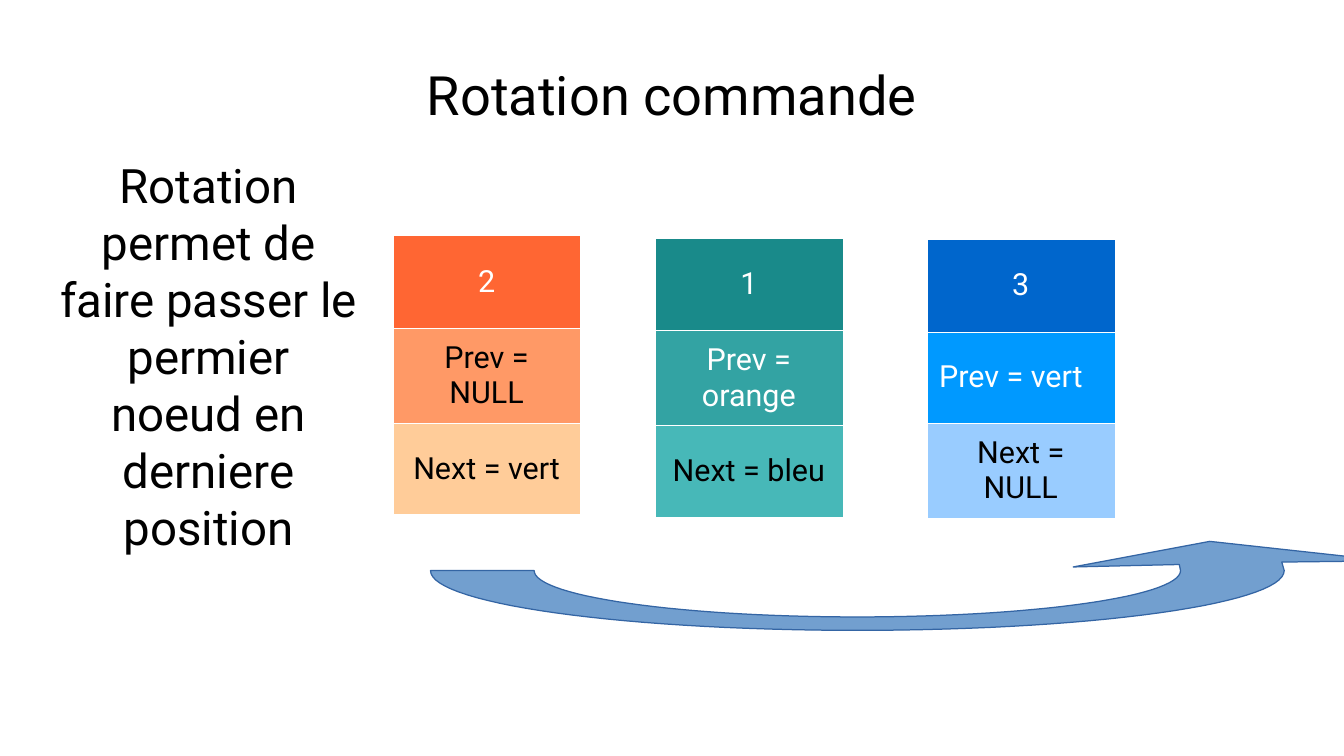
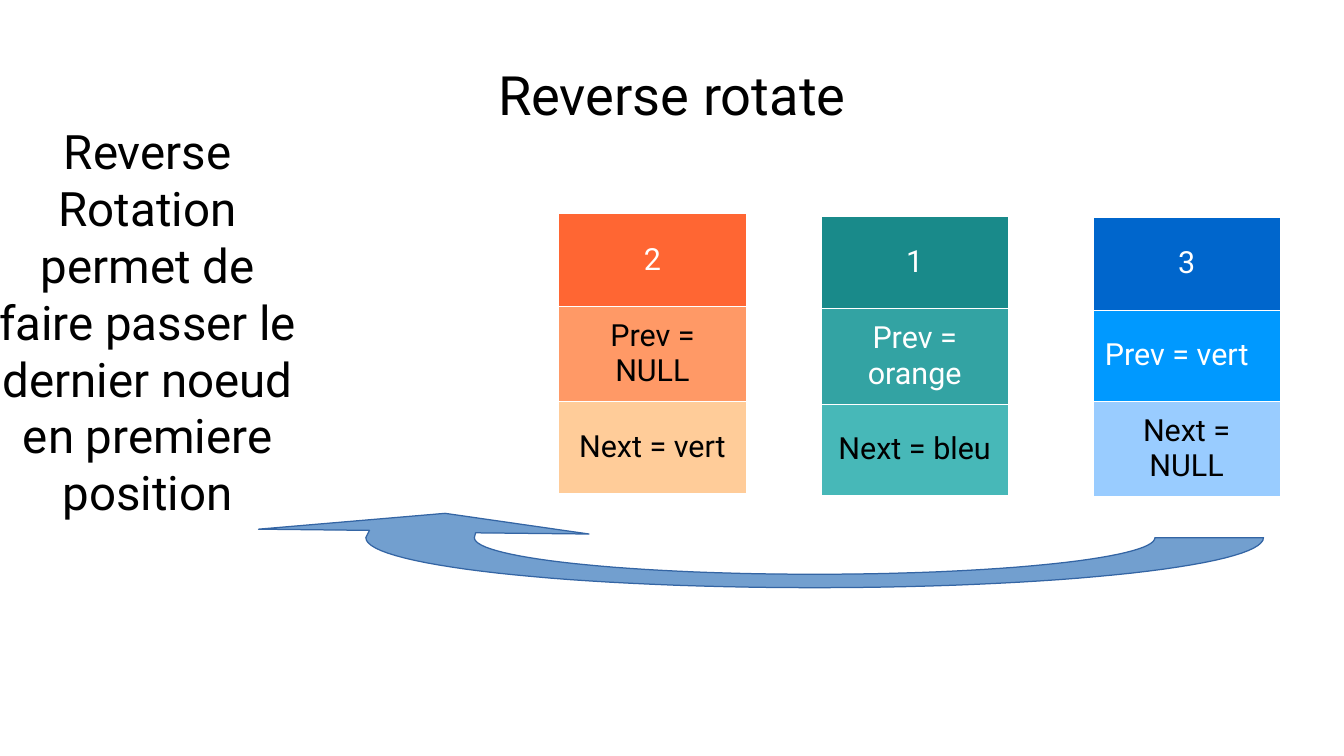
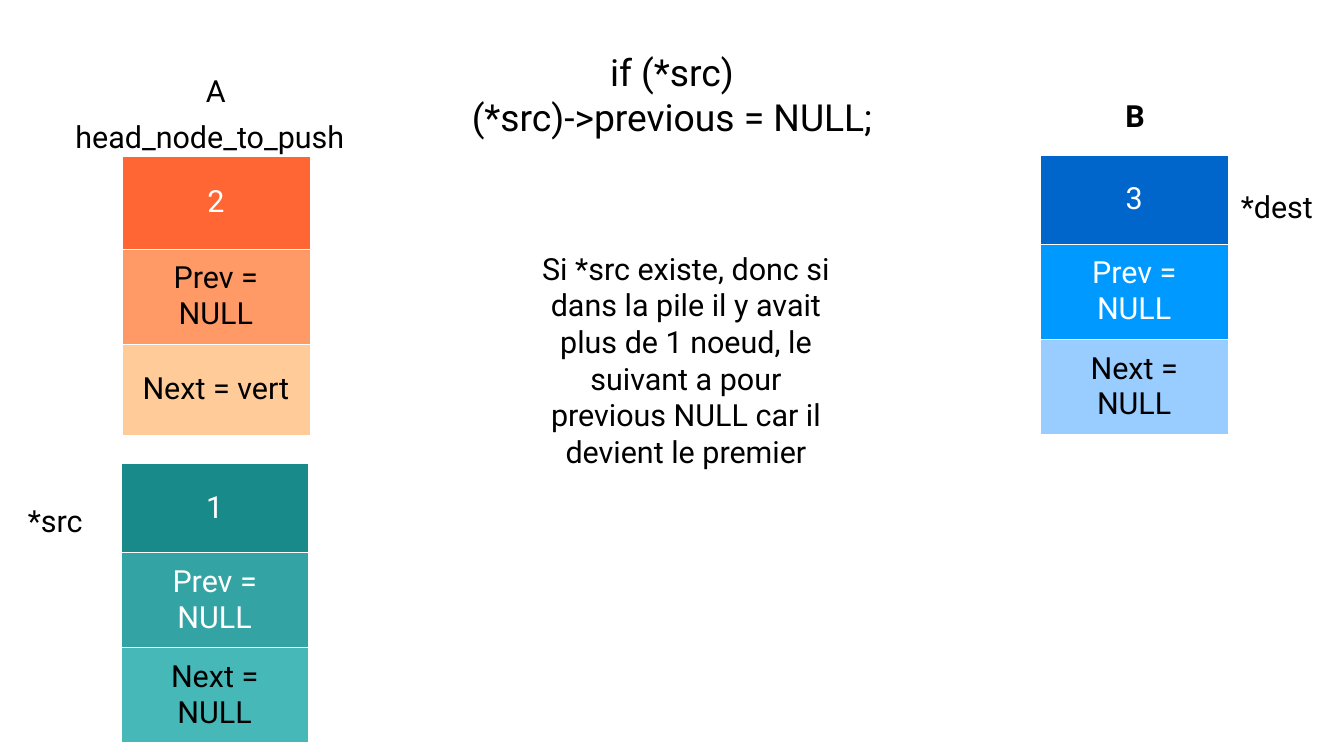
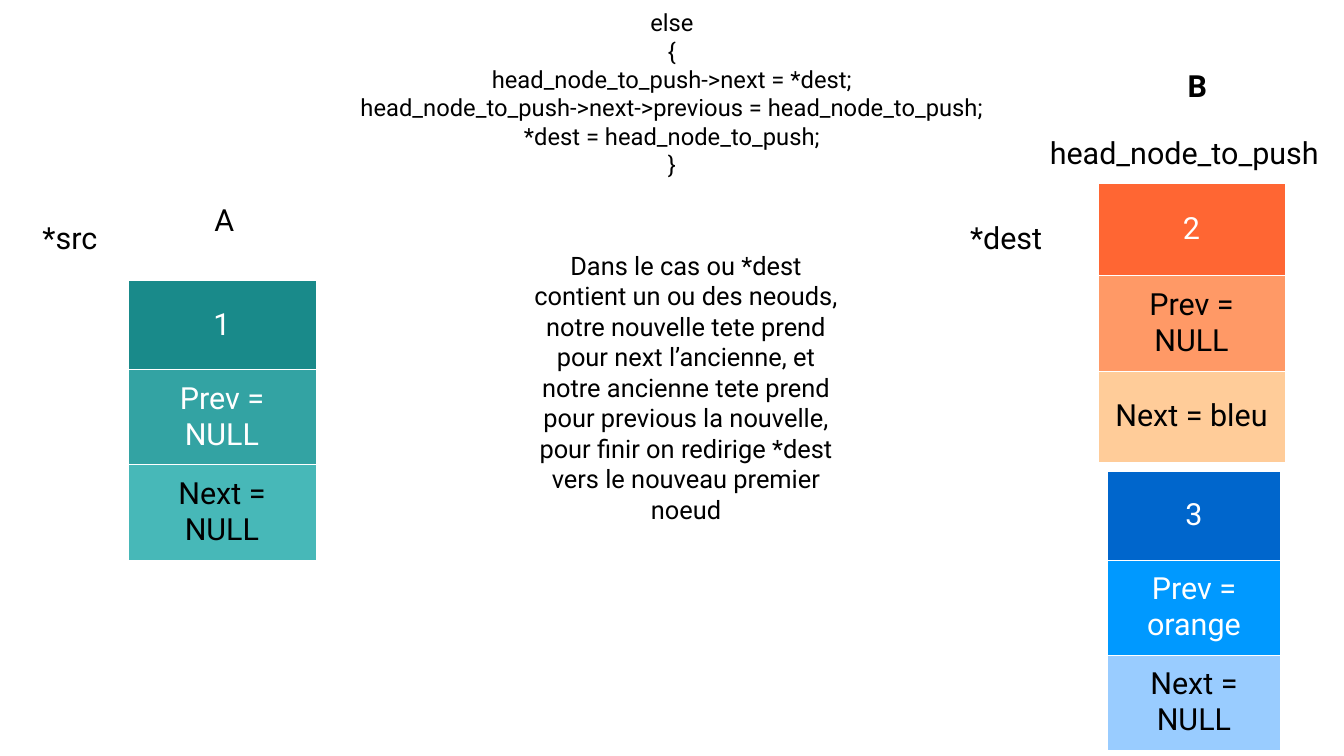
from math import cos, pi, sin

from lxml import etree
from pptx import Presentation
from pptx.dml.color import RGBColor
from pptx.enum.text import MSO_ANCHOR, MSO_AUTO_SIZE, PP_ALIGN
from pptx.oxml.ns import qn
from pptx.util import Inches, Pt

LEFT, CENTER = PP_ALIGN.LEFT, PP_ALIGN.CENTER
MIDDLE = MSO_ANCHOR.MIDDLE
FIXED_SIZE = MSO_AUTO_SIZE.NONE

FONT = "Roboto"
COLORS = {"black": "000000", "white": "FFFFFF", "arrow": "729FCF", "arrow_edge": "3465A4"}

# Fill and text colour of the value, Prev and Next cells
NODE_COLORS = {
    "orange": [("FF6633", "white"), ("FF9966", "black"), ("FFCC99", "black")],
    "green": [("198A8A", "white"), ("33A3A3", "white"), ("47B8B8", "black")],
    "blue": [("0066CC", "white"), ("0099FF", "white"), ("99CCFF", "black")],
}
NODE_VALUES = {"orange": "2", "green": "1", "blue": "3"}
NODE_WIDTH = 1.54
TITLE_BOX = (0.55, 0.25, 9.92, 1.04)


def write(frame, text, size=18, color="black", align=LEFT, bold=False, inset=None):
    frame.text = text
    frame.word_wrap = True
    if inset is not None:
        frame.margin_left = frame.margin_right = Inches(inset)
        frame.margin_top = frame.margin_bottom = Inches(inset)
    for paragraph in frame.paragraphs:
        paragraph.alignment = align
        font = paragraph.font
        for run in paragraph.runs:
            font = run.font
            font.name, font.size, font.bold = FONT, Pt(size), bold
            font.color.rgb = RGBColor.from_string(COLORS[color])


def add_node(slide, name, left, top, prev_node, next_node, width=NODE_WIDTH):
    """Draw a list node as a table: its value, then its two links."""
    texts = [NODE_VALUES[name], f"Prev = {prev_node}", f"Next = {next_node}"]
    # A link that wraps to two lines needs a taller row
    heights = [0.73 if prev_node == next_node or width < NODE_WIDTH else 0.76]
    heights += [0.75 if link in ("vert", "bleu") else 0.78 for link in (prev_node, next_node)]
    table = slide.shapes.add_table(3, 1, Inches(left), Inches(top), Inches(width),
                                   Inches(sum(heights))).table
    table.first_row = table.horz_banding = False
    for row, (text, height, (fill, color)) in enumerate(zip(texts, heights, NODE_COLORS[name])):
        table.rows[row].height = Inches(height)
        cell = table.cell(row, 0)
        cell.vertical_anchor = MIDDLE
        write(cell.text_frame, text, color=color,
              align=LEFT if text == "Prev = vert" else CENTER)
        properties = cell._tc.get_or_add_tcPr()
        for side in ("a:lnL", "a:lnR", "a:lnT", "a:lnB"):
            border = etree.SubElement(properties, qn(side), w=str(Pt(0.06)))
            solid = etree.SubElement(border, qn("a:solidFill"))
            etree.SubElement(solid, qn("a:srgbClr"), val=COLORS["white"])
        cell.fill.solid()
        cell.fill.fore_color.rgb = RGBColor.from_string(fill)


# Nodes: name, left, top, Prev, Next. Labels: text, box, format.
# Arrows: direction, centre, outer and inner radii, head from outer to inner edge.
slides = [
    {
        "title": "Rotation commande", "title_size": 32, "title_box": TITLE_BOX,
        "nodes": [("blue", 7.6, 1.96, "vert", "NULL"),
                  ("green", 5.37, 1.95, "orange", "bleu"),
                  ("orange", 3.22, 1.93, "NULL", "vert")],
        "labels": [("Rotation permet de faire passer le permier noeud en derniere position",
                    (0.47, 1.28, 2.48, 4.3), {"size": 28, "align": CENTER, "inset": 0})],
        "arrow": (1, (7.03, 4.68), (3.5, 0.49), (2.65, 0.38),
                  [(10.51, 4.61), (11.38, 4.6), (9.92, 4.44), (8.8, 4.65), (9.67, 4.63)]),
    },
    {
        "title": "Reverse rotate", "title_size": 32, "title_box": TITLE_BOX,
        "nodes": [("blue", 8.96, 1.78, "vert", "NULL"),
                  ("green", 6.73, 1.77, "orange", "bleu"),
                  ("orange", 4.58, 1.75, "NULL", "vert")],
        "labels": [("Reverse Rotation permet de faire passer le dernier noeud en premiere position",
                    (-0.03, 1, 2.48, 4.3), {"size": 28, "align": CENTER, "inset": 0})],
        "arrow": (-1, (6.68, 4.41), (3.68, 0.41), (2.79, 0.3),
                  [(3.03, 4.35), (2.12, 4.34), (3.65, 4.21), (4.83, 4.38), (3.9, 4.37)]),
    },
    {
        "title": "if (*src)\n(*src)->previous = NULL;", "title_size": 22, "title_box": TITLE_BOX,
        "nodes": [("orange", 1, 1.28, "NULL", "vert"),
                  ("blue", 8.53, 1.27, "NULL", "NULL"),
                  ("green", 0.99, 3.8, "NULL", "NULL")],
        "labels": [("A", (1.59, 0.54, 0.4, 0.44), {}),
                   ("head_node_to_push", (0.52, 0.92, 2.5, 0.44), {}),
                   ("*src", (0.13, 4.07, 0.75, 0.44), {}),
                   ("Si *src existe, donc si dans la pile il y avait plus de 1 noeud, "
                    "le suivant a pour previous NULL car il devient le premier",
                    (4.25, 2, 2.75, 2.14), {"align": CENTER}),
                   ("B", (9.13, 0.75, 0.4, 0.44), {"bold": True}),
                   ("*dest", (9.97, 1.49, 1, 0.44), {"align": CENTER})],
    },
    {
        "title": "else\n{\nhead_node_to_push->next = *dest;\n"
                 "head_node_to_push->next->previous = head_node_to_push;\n"
                 "*dest = head_node_to_push;\n}",
        "title_size": 14, "title_box": (0.55, -0.03, 9.92, 1.59),
        "nodes": [("orange", 9, 1.5, "NULL", "bleu"),
                  ("blue", 9.08, 3.86, "orange", "NULL", 1.42),
                  ("green", 1.05, 2.3, "NULL", "NULL")],
        "labels": [("A", (1.66, 1.6, 0.4, 0.44), {}),
                   ("*src", (0.25, 1.75, 0.75, 0.44), {}),
                   ("Dans le cas ou *dest contient un ou des neouds, notre nouvelle tete prend "
                    "pour next l’ancienne, et notre ancienne tete prend pour previous la "
                    "nouvelle, pour finir on redirige *dest vers le nouveau premier noeud",
                    (4.25, 2, 2.75, 2.95), {"size": 15, "align": CENTER}),
                   ("B", (9.64, 0.5, 0.4, 0.44), {"bold": True}),
                   ("head_node_to_push", (8.51, 1.05, 2.5, 0.44), {}),
                   ("*dest", (7.75, 1.75, 1, 0.44), {"align": CENTER})],
    },
]

prs = Presentation()
prs.slide_width, prs.slide_height = Inches(11.02), Inches(6.2)

for content in slides:
    slide = prs.slides.add_slide(prs.slide_layouts[5])
    title = slide.shapes.title
    title.left, title.top, title.width, title.height = map(Inches, content["title_box"])
    write(title.text_frame, content["title"], size=content["title_size"], align=CENTER, inset=0)
    title.text_frame.vertical_anchor = MIDDLE
    title.text_frame.auto_size = FIXED_SIZE

    for node in content["nodes"]:
        add_node(slide, *node)

    for text, box, text_format in content["labels"]:
        label = slide.shapes.add_textbox(*map(Inches, box))
        write(label.text_frame, text, **text_format)

    if "arrow" in content:
        direction, (center_x, center_y), outer, inner, head = content["arrow"]
        outer_arc, inner_arc = [
            [(center_x - direction * radius_x * cos(pi * step / 60),
              center_y + radius_y * sin(pi * step / 60)) for step in range(61)]
            for radius_x, radius_y in (outer, inner)
        ]
        outline = [(Inches(x), Inches(y)) for x, y in outer_arc + head + inner_arc[::-1]]
        builder = slide.shapes.build_freeform(*outline[0])
        builder.add_line_segments(outline[1:], close=True)
        arrow = builder.convert_to_shape()
        arrow.shadow.inherit = False
        arrow.fill.solid()
        arrow.fill.fore_color.rgb = RGBColor.from_string(COLORS["arrow"])
        arrow.line.color.rgb = RGBColor.from_string(COLORS["arrow_edge"])
        arrow.line.width = Pt(0)

prs.save("out.pptx")
